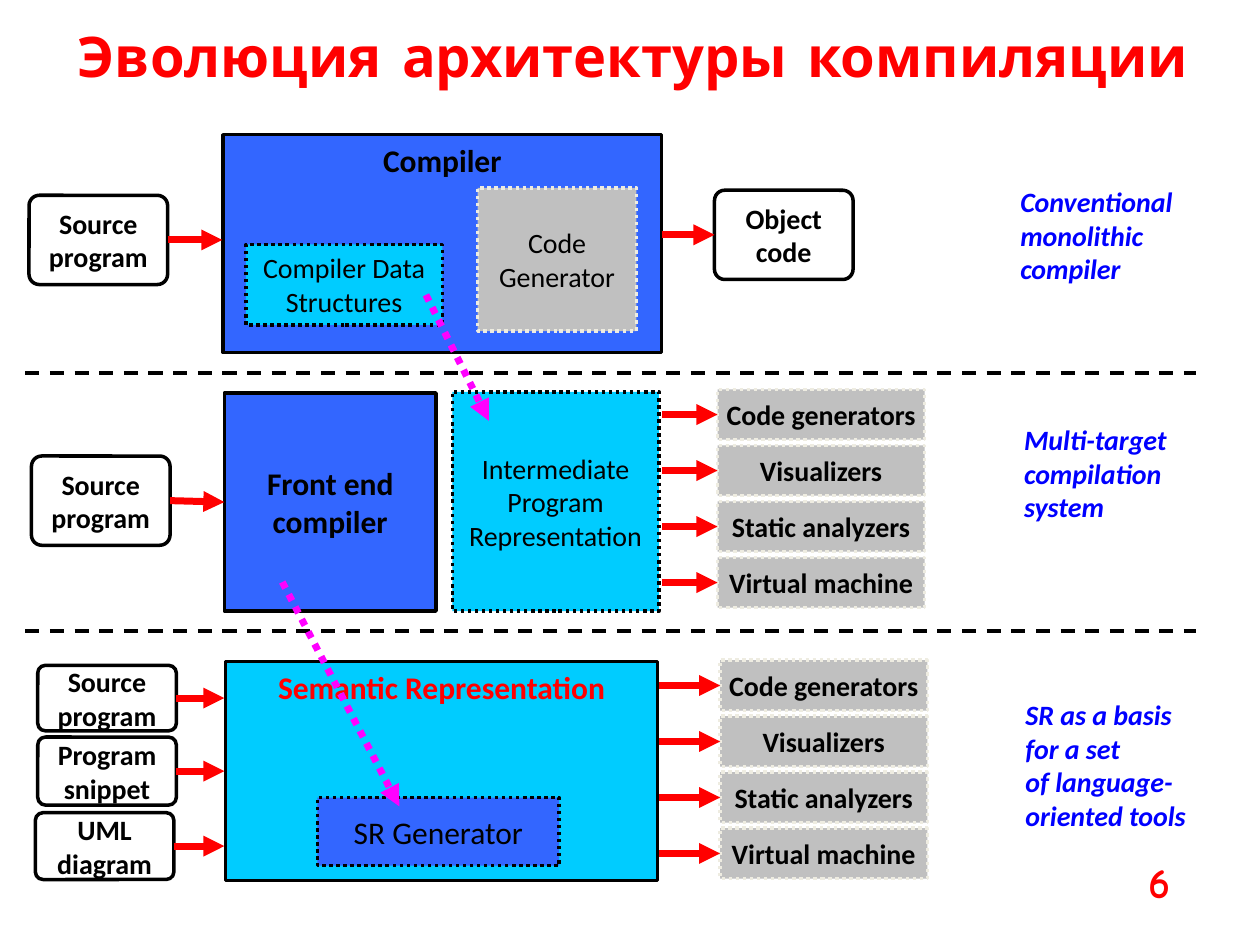
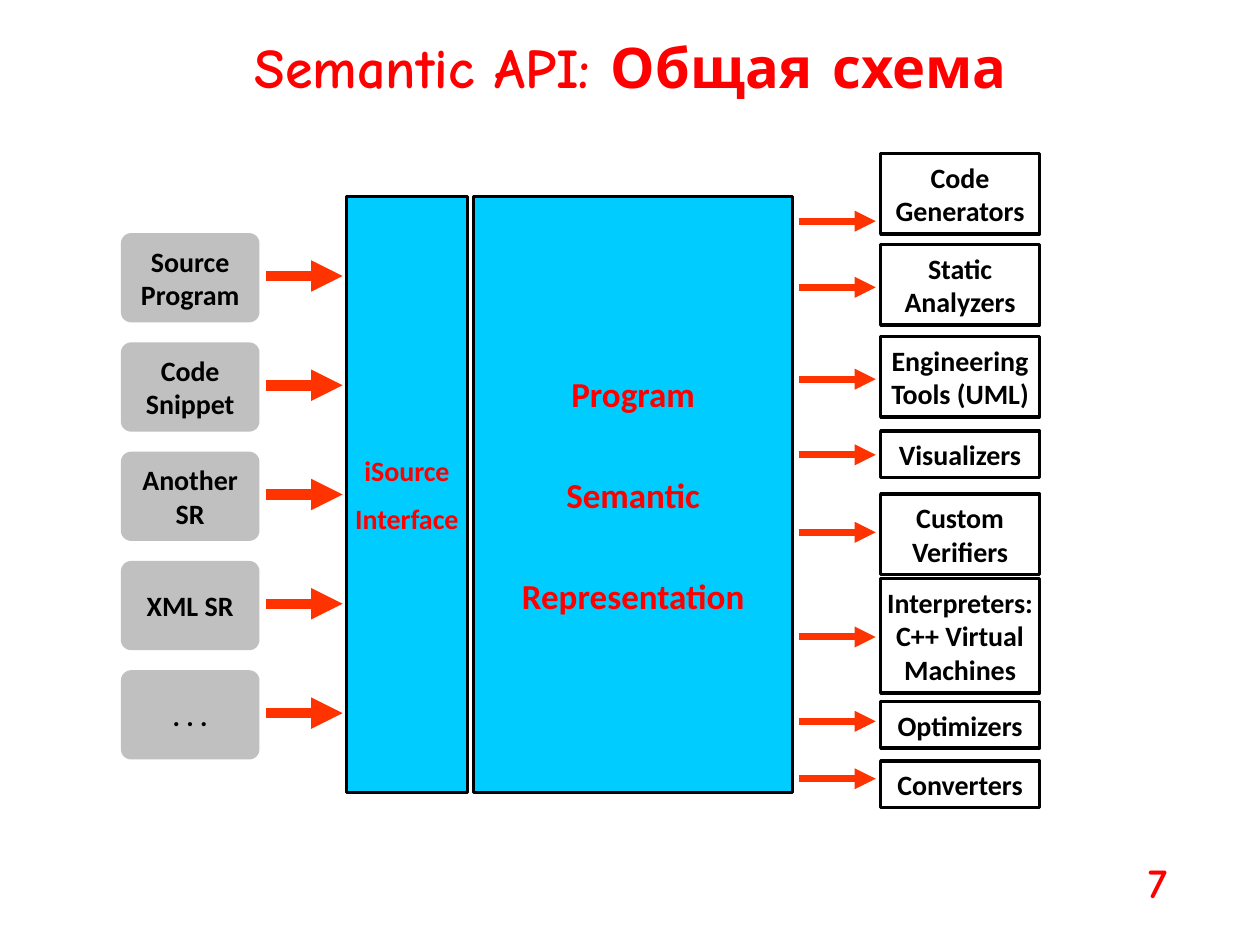
from pptx import Presentation
from pptx.dml.color import RGBColor
from pptx.enum.dml import MSO_LINE
from pptx.enum.shapes import MSO_CONNECTOR, MSO_SHAPE
from pptx.enum.text import MSO_ANCHOR, MSO_AUTO_SIZE, PP_ALIGN
from pptx.oxml.ns import qn
from pptx.util import Pt
from lxml.etree import SubElement

COLORS = {
    "red": "FF0000", "orange": "FF3300", "magenta": "FF00FF", "note": "0000FF",
    "blue": "3366FF", "cyan": "00CCFF", "gray": "C0C0C0", "cream": "EEECE1",
    "black": "000000",
}
LABEL = {"name": "Calibri", "size": Pt(16), "bold": True, "italic": False}
PLAIN = LABEL | {"bold": False}
HEADING = LABEL | {"size": Pt(18)}
NOTE = LABEL | {"italic": True}
TITLE = {"name": "Comic Neue", "size": Pt(32), "bold": True}
NUMBER = TITLE | {"size": Pt(24)}
DOT = MSO_LINE.ROUND_DOT
TOOLS = ["Code generators", "Visualizers", "Static analyzers", "Virtual machine"]


def rgb(color):
    """Turn a colour name into an RGB colour."""
    return RGBColor.from_string(COLORS[color])


def middle(shape):
    """Give the height of the middle of a shape, in points."""
    return shape.top.pt + shape.height.pt / 2


class Deck:
    """Holds the presentation, its style and the current slide."""

    def __init__(self):
        """Start an empty 4:3 presentation."""
        self.presentation = Presentation()
        self.presentation.slide_width = Pt(720)
        self.presentation.slide_height = Pt(540)
        self.slide = None

    def add_slide(self, title, number, left, top):
        """Start a slide with its title and page number."""
        layout = self.presentation.slide_layouts[5]
        self.slide = self.presentation.slides.add_slide(layout)
        shape = self.slide.shapes.title
        placement = {"left": left, "top": top, "width": 692, "height": 46}
        for name, value in placement.items():
            setattr(shape, name, Pt(value))
        self.fill_text(shape, title, TITLE, "red", anchor=MSO_ANCHOR.TOP)
        self.text(number, (649.5, 486, 52.5, 36), NUMBER, "red", 7.2, MSO_ANCHOR.TOP)

    def fill_text(self, shape, text, style, color="black", align=PP_ALIGN.CENTER,
                  anchor=MSO_ANCHOR.MIDDLE, left=7.2, right=7.2, gap=0, wrap=True):
        """Fill a shape with one formatted paragraph per line."""
        frame = shape.text_frame
        frame.text = text
        settings = {"word_wrap": wrap, "auto_size": MSO_AUTO_SIZE.NONE,
                    "vertical_anchor": anchor, "margin_left": Pt(left),
                    "margin_right": Pt(right), "margin_top": Pt(3.6),
                    "margin_bottom": Pt(3.6)}
        for name, value in settings.items():
            setattr(frame, name, value)
        for index, paragraph in enumerate(frame.paragraphs):
            paragraph.alignment = align
            paragraph.space_before = Pt(gap if index else 0)
            for run in paragraph.runs:
                run.font.color.rgb = rgb(color)
                for name, value in style.items():
                    setattr(run.font, name, value)

    def text(self, text, box, style, color, left, anchor=MSO_ANCHOR.MIDDLE):
        """Add left-aligned text without a frame."""
        shape = self.slide.shapes.add_textbox(*map(Pt, box))
        self.fill_text(shape, text, style, color, PP_ALIGN.LEFT, anchor, left, 0)

    def box(self, text, box, fill=None, style=LABEL, line="black", dash=None,
            kind=MSO_SHAPE.RECTANGLE, inset=7.2, **format_values):
        """Add a labelled box."""
        shape = self.slide.shapes.add_shape(kind, *map(Pt, box))
        shape.shadow.inherit = False
        if fill:
            shape.fill.solid()
            shape.fill.fore_color.rgb = rgb(fill)
        else:
            shape.fill.background()
        if line:
            shape.line.color.rgb = rgb(line)
            shape.line.width = Pt(2)
            shape.line.dash_style = dash
        else:
            shape.line.fill.background()
        self.fill_text(shape, text, style, left=inset, right=inset, **format_values)
        return shape

    def rounded(self, text, left, top, height=51, **format_values):
        """Add a rounded program box."""
        shape = self.box(text, (left, top, 79.2, height), wrap=False,
                         kind=MSO_SHAPE.ROUNDED_RECTANGLE, **format_values)
        shape.adjustments[0] = 0.115
        return shape

    def line(self, start, end, color="red", width=4, dash=None, head=True,
             source=None, target=None):
        """Add a line or arrow, joined to the boxes given."""
        connector = self.slide.shapes.add_connector(
            MSO_CONNECTOR.STRAIGHT, *map(Pt, start + end))
        connector.line.color.rgb = rgb(color)
        connector.line.width = Pt(width)
        connector.line.dash_style = dash
        properties = connector._element.spPr
        if head:
            SubElement(properties.find(qn("a:ln")), qn("a:tailEnd"), type="triangle")
        SubElement(properties, qn("a:effectLst"))
        if source:
            connector.begin_connect(source, 3)
        if target:
            connector.end_connect(target, 1)

    def program(self, text, left, top, height, end, target=None):
        """Add a program box with an arrow to the right."""
        shape = self.rounded(text, left, top, height)
        y = middle(shape)
        self.line((left + 79.2, y), (end, y), source=shape, target=target)

    def tools(self, left, top, start):
        """Add the column of tools with the arrows leading to them."""
        for index, tool in enumerate(TOOLS):
            shape = self.box(tool, (left, top + 32 * index, 118.4, 28.8), "gray",
                             line="cream", dash=DOT, inset=0)
            y = middle(shape)
            self.line((start, y), (left, y), target=shape)


def evolution(deck):
    """Draw the three stages of compiler architecture."""
    deck.add_slide("Эволюция архитектуры компиляции", "6", 15.8, 8.6)
    for y in (213.1, 360.7):
        deck.line((14.4, y), (683.3, y), "black", 2, MSO_LINE.DASH, head=False)

    deck.box("Compiler", (127.5, 77, 250.5, 124.5), "blue", HEADING,
             anchor=MSO_ANCHOR.TOP)
    deck.box("Compiler Data Structures", (140.5, 139.7, 112.3, 46), "cyan", PLAIN,
             dash=DOT, anchor=MSO_ANCHOR.TOP)
    deck.box("Code\nGenerator", (273, 107.3, 90.7, 82), "gray", PLAIN,
             line="cream", dash=DOT, inset=0)
    deck.program("Source\nprogram", 16.6, 111.6, 51, 127)
    object_code = deck.rounded("Object\ncode", 408.3, 108.7)
    y = middle(object_code)
    deck.line((378.5, y), (408.3, y), target=object_code)

    front_end = deck.box("Front end compiler", (128.2, 224.6, 121, 124.6), "blue", HEADING)
    deck.box("Intermediate Program Representation", (258.5, 223.9, 118.1, 125.3),
             "cyan", PLAIN, dash=DOT)
    deck.program("Source\nprogram", 18, 260.6, 51, 128.2, front_end)
    deck.tools(410, 222.5, 378.5)

    deck.box("Semantic Representation", (128.9, 378, 247, 125.3), "cyan", HEADING,
             color="red", anchor=MSO_ANCHOR.TOP)
    deck.box("SR Generator", (181.4, 455.8, 138.2, 38.9), "blue",
             HEADING | {"bold": False}, dash=DOT)
    for text, left, top, height in (
        ("Source\nprogram", 21.6, 380.2, 37.4),
        ("Program\nsnippet", 21.6, 421.2, 38.9),
        ("UML\ndiagram", 20.2, 464.4, 38.2),
    ):
        deck.program(text, left, top, height, 128.2)
    deck.tools(411.5, 377.3, 376.6)

    deck.line((243.4, 168.5), (279.4, 240.5), "magenta", dash=DOT)
    deck.line((161.3, 332.6), (228.2, 460.8), "magenta", dash=DOT)
    for text, box, left in (
        ("Conventional\nmonolithic\ncompiler", (553, 101.5, 147.6, 65.5), 30),
        ("Multi-target\ncompilation\nsystem", (547.2, 237.6, 158.4, 65.5), 38),
        ("SR as a basis\nfor a set\nof language-\noriented tools",
         (553, 394.6, 158.4, 85), 33),
    ):
        deck.text(text, box, NOTE, "note", left)


def semantic_api(deck):
    """Draw the general scheme of the semantic API."""
    deck.add_slide("Semantic API: Общая схема", "7", 14.4, 15.1)
    deck.box("iSource\nInterface", (198, 112.3, 69.1, 340.6), "cyan",
             color="red", inset=0, gap=8)
    deck.box("Program\nSemantic\nRepresentation", (270.7, 112.3, 182.2, 340.6), "cyan",
             LABEL | {"size": Pt(20)}, color="red", gap=33.5)
    inputs = ["Source\nProgram", "Code\nSnippet", "Another\nSR", "XML SR", ". . ."]
    for index, text in enumerate(inputs):
        offset = 62.45 * index
        deck.rounded(text, 69.1, 133.2 + offset, fill="gray", line=None)
        y = 157.7 + offset
        deck.line((151.9, y), (195.8, y), "orange", 6)
    for text, top, height, y in (
        ("Code Generators", 87.8, 46, 126.4),
        ("Static Analyzers", 139.7, 46, 164.2),
        ("Engineering Tools (UML)", 192.2, 46, 216.7),
        ("Visualizers", 246.2, 26.6, 259.9),
        ("Custom Verifiers", 282.2, 46, 304.2),
        ("Interpreters:\nC++ Virtual Machines", 330.5, 65.5, 364),
        ("Optimizers", 401, 26.6, 412.2),
        ("Converters", 434.9, 26.6, 445),
    ):
        deck.box(text, (503.3, top, 90.7, height), inset=0)
        deck.line((456.5, y), (500.4, y), "orange")


def main():
    """Build and save the slides."""
    deck = Deck()
    evolution(deck)
    semantic_api(deck)
    deck.presentation.save("out.pptx")


if __name__ == "__main__":
    main()
